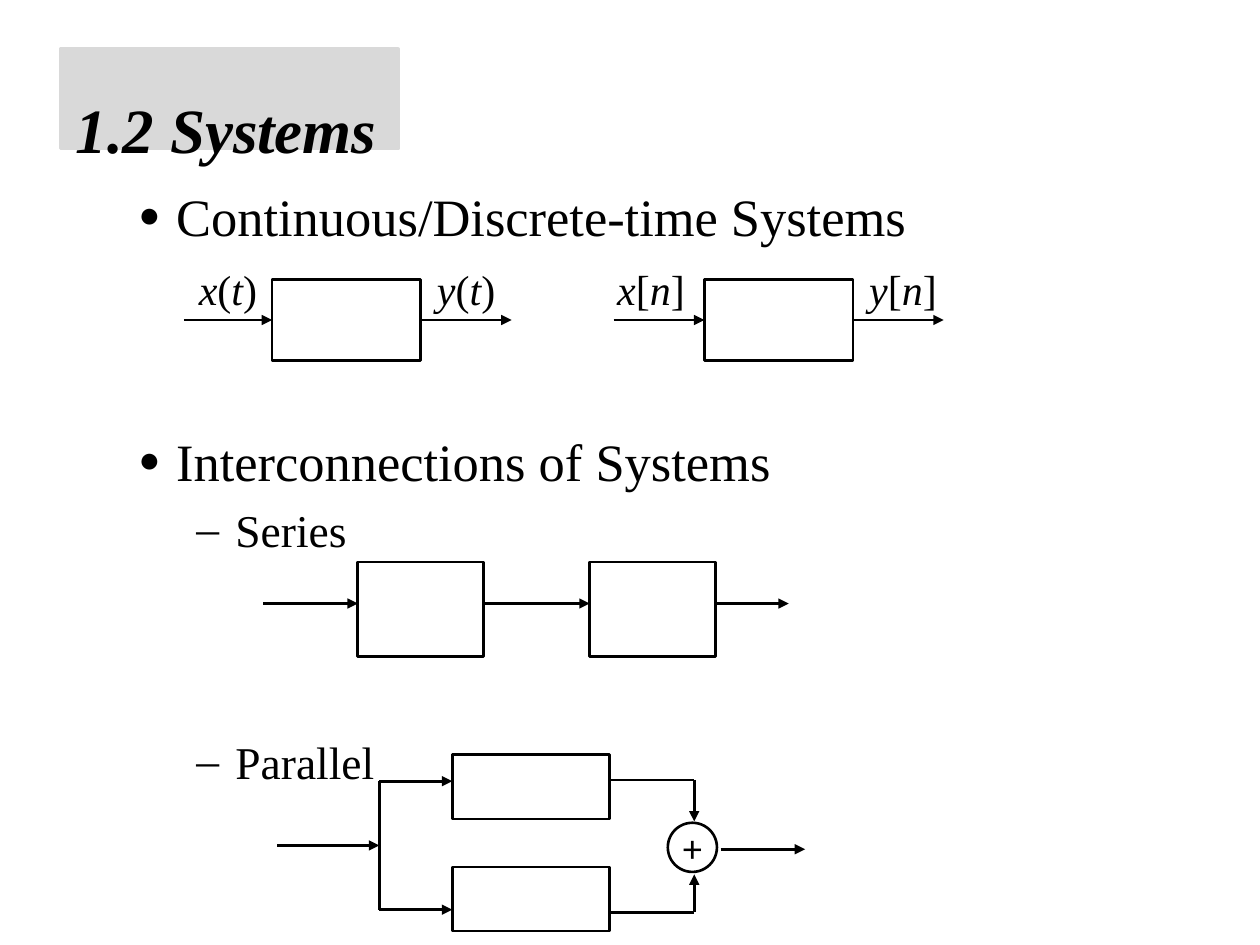
from dataclasses import dataclass

from lxml import etree
from pptx import Presentation
from pptx.dml.color import RGBColor
from pptx.enum.shapes import MSO_CONNECTOR, MSO_SHAPE
from pptx.enum.text import MSO_ANCHOR, MSO_AUTO_SIZE, PP_ALIGN
from pptx.oxml.ns import qn
from pptx.util import Inches, Pt

RECT, OVAL = MSO_SHAPE.RECTANGLE, MSO_SHAPE.OVAL
STRAIGHT = MSO_CONNECTOR.STRAIGHT
TOP, MIDDLE = MSO_ANCHOR.TOP, MSO_ANCHOR.MIDDLE
LEFT, CENTER = PP_ALIGN.LEFT, PP_ALIGN.CENTER
FIXED = MSO_AUTO_SIZE.NONE
BLACK = RGBColor(0x00, 0x00, 0x00)
GREY = RGBColor(0xD9, 0xD9, 0xD9)
SERIF, SANS = "Times New Roman", "Calibri"
LEFT_SIDE, RIGHT_SIDE = 1, 3


@dataclass
class Box:
    x: float
    y: float
    w: float
    h: float


@dataclass
class Wire:
    x1: float
    y1: float
    x2: float
    y2: float
    head: bool = True


@dataclass
class Point:
    text: str
    size: int
    left: float
    mark: str
    scale: int
    before: int


@dataclass
class System:
    box: Box
    start: float
    end: float
    labels: tuple


SYSTEMS = [
    System(Box(2.16, 2.22, 1.18, 0.64), 1.46, 4.06,
           (("x(t)", 1.48), ("y(t)", 3.37))),
    System(Box(5.59, 2.22, 1.18, 0.64), 4.87, 7.49,
           (("x[n]", 4.8), ("y[n]", 6.8))),
]
SERIES = [Box(x, 4.46, 1, 0.75) for x in (2.84, 4.68)]
BRANCHES = [Box(3.59, y, 1.25, 0.51) for y in (5.99, 6.88)]
SUM = Box(5.3, 6.53, 0.39, 0.39)
WIRES = [
    *(Wire(a, 4.79, b, 4.79)
      for a, b in ((2.09, 2.84), (3.84, 4.68), (5.68, 6.26))),
    Wire(2.2, 6.71, 3.01, 6.71),
    Wire(3.01, 7.22, 3.01, 6.2, False),
    *(Wire(3.01, y, 3.59, y) for y in (6.2, 7.22)),
    *(Wire(4.84, y, 5.51, y, False) for y in (6.19, 7.24)),
    Wire(5.51, 6.19, 5.51, 6.52),
    Wire(5.51, 7.24, 5.51, 6.94),
    Wire(5.72, 6.74, 6.39, 6.74),
]
POINTS = [
    Point("Continuous/Discrete-time Systems", 30, 0.3, "●", 70, 0),
    Point("Interconnections of Systems", 30, 0.3, "●", 70, 104),
    Point("Series", 26, 0.77, "–", 100, 6),
    Point("Parallel", 26, 0.77, "–", 100, 101),
]


def frame(box: Box) -> tuple:
    return tuple(Inches(v) for v in (box.x, box.y, box.w, box.h))


def style(font, size: int, name: str = SERIF) -> None:
    font.name = name
    font.size = Pt(size)
    font.color.rgb = BLACK


def draw_box(slide, box: Box, kind=RECT):
    shape = slide.shapes.add_shape(kind, *frame(box))
    shape.shadow.inherit = False
    shape.fill.background()
    shape.line.color.rgb = BLACK
    shape.line.width = Pt(1.5)
    return shape


def draw_wire(slide, wire: Wire):
    ends = (Inches(v) for v in (wire.x1, wire.y1, wire.x2, wire.y2))
    line = slide.shapes.add_connector(STRAIGHT, *ends)
    line.line.color.rgb = BLACK
    line.line.width = Pt(1.5)
    props = line.element.spPr
    if wire.head:
        etree.SubElement(props.find(qn("a:ln")), qn("a:tailEnd"), type="triangle")
    etree.SubElement(props, qn("a:effectLst"))
    return line


def draw_label(slide, text: str, x: float) -> None:
    label = slide.shapes.add_textbox(*frame(Box(x, 2.04, 0.76, 0.5)))
    label.text_frame.word_wrap = False
    para = label.text_frame.paragraphs[0]
    for char in text:
        run = para.add_run()
        run.text = char
        run.font.italic = char.isalpha()
        style(run.font, 24)


def draw_system(slide, system: System) -> None:
    box = system.box
    shape = draw_box(slide, box)
    mid = box.y + box.h / 2
    into = draw_wire(slide, Wire(system.start, mid, box.x, mid))
    into.end_connect(shape, LEFT_SIDE)
    out = draw_wire(slide, Wire(box.x + box.w, mid, system.end, mid))
    out.begin_connect(shape, RIGHT_SIDE)
    for text, x in system.labels:
        draw_label(slide, text, x)


def draw_sum(slide) -> None:
    text = draw_box(slide, SUM, OVAL).text_frame
    text.word_wrap = False
    text.vertical_anchor = MIDDLE
    para = text.paragraphs[0]
    para.text = "+"
    para.alignment = CENTER
    style(para.font, 22, SANS)


def draw_title(slide) -> None:
    card = draw_box(slide, Box(0.48, 0.39, 2.68, 0.79))
    card.fill.solid()
    card.fill.fore_color.rgb = GREY
    card.line.color.rgb = GREY
    card.line.width = Pt(2)
    title = slide.shapes.title
    title.left, title.top, title.width, title.height = frame(Box(0.5, 0.67, 2.8, 0.68))
    card.element.addnext(title.element)
    text = title.text_frame
    text.text = "1.2 Systems"
    text.auto_size = FIXED
    text.word_wrap = False
    text.vertical_anchor = TOP
    para = text.paragraphs[0]
    para.alignment = LEFT
    style(para.font, 36)
    para.font.bold = para.font.italic = True


def draw_points(slide) -> None:
    text = slide.shapes.add_textbox(*frame(Box(1, 1.41, 8, 4.9))).text_frame
    text.word_wrap = True
    for i, point in enumerate(POINTS):
        para = text.add_paragraph() if i else text.paragraphs[0]
        para.text = point.text
        if i:
            para.space_before = Pt(point.before)
        props = para._p.get_or_add_pPr()
        props.set("marL", str(Inches(point.left)))
        props.set("indent", str(Inches(-0.31)))
        etree.SubElement(props, qn("a:buSzPct"), val=str(point.scale * 1000))
        etree.SubElement(props, qn("a:buFont"), typeface=SERIF)
        etree.SubElement(props, qn("a:buChar"), char=point.mark)
        style(para.font, point.size)


def main() -> None:
    deck = Presentation()
    deck.slide_width, deck.slide_height = Inches(10), Inches(7.5)
    slide = deck.slides.add_slide(deck.slide_layouts[5])
    draw_title(slide)
    draw_points(slide)
    for system in SYSTEMS:
        draw_system(slide, system)
    for box in SERIES + BRANCHES:
        draw_box(slide, box)
    for wire in WIRES:
        draw_wire(slide, wire)
    draw_sum(slide)
    deck.save("out.pptx")


if __name__ == "__main__":
    main()
